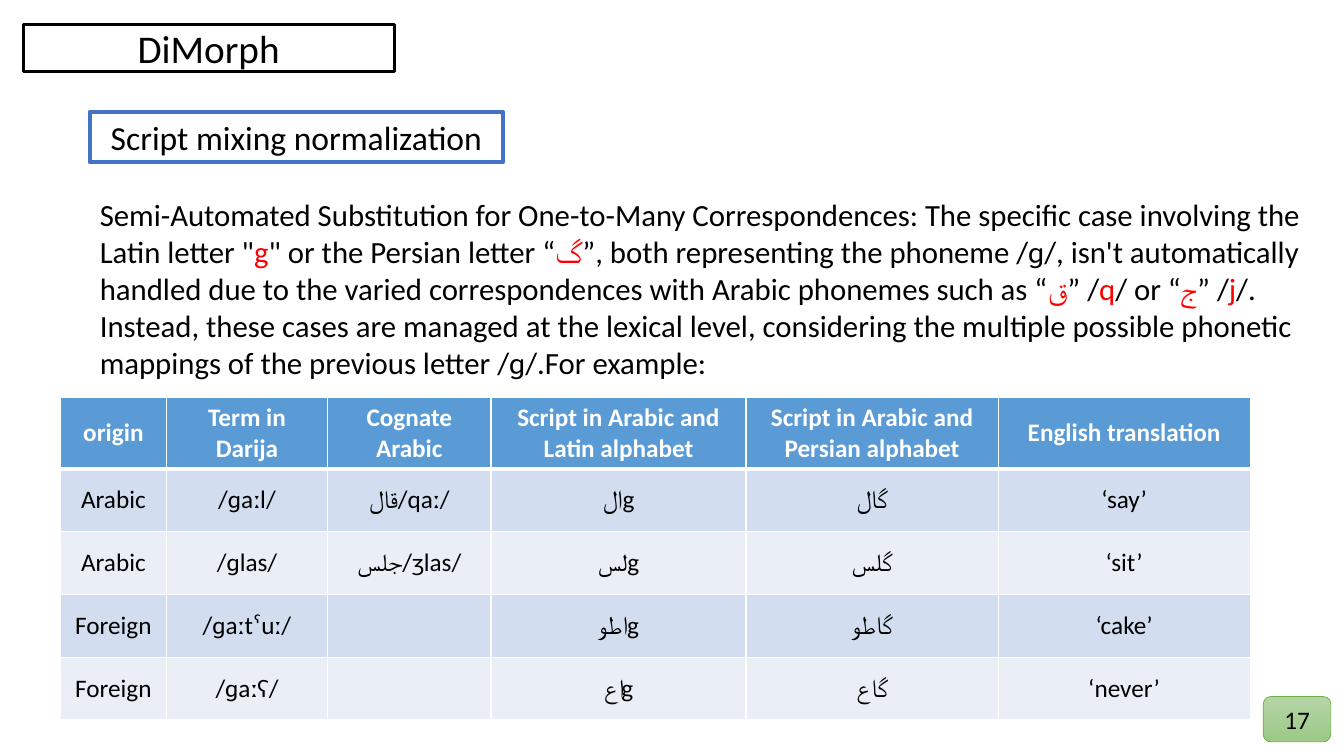
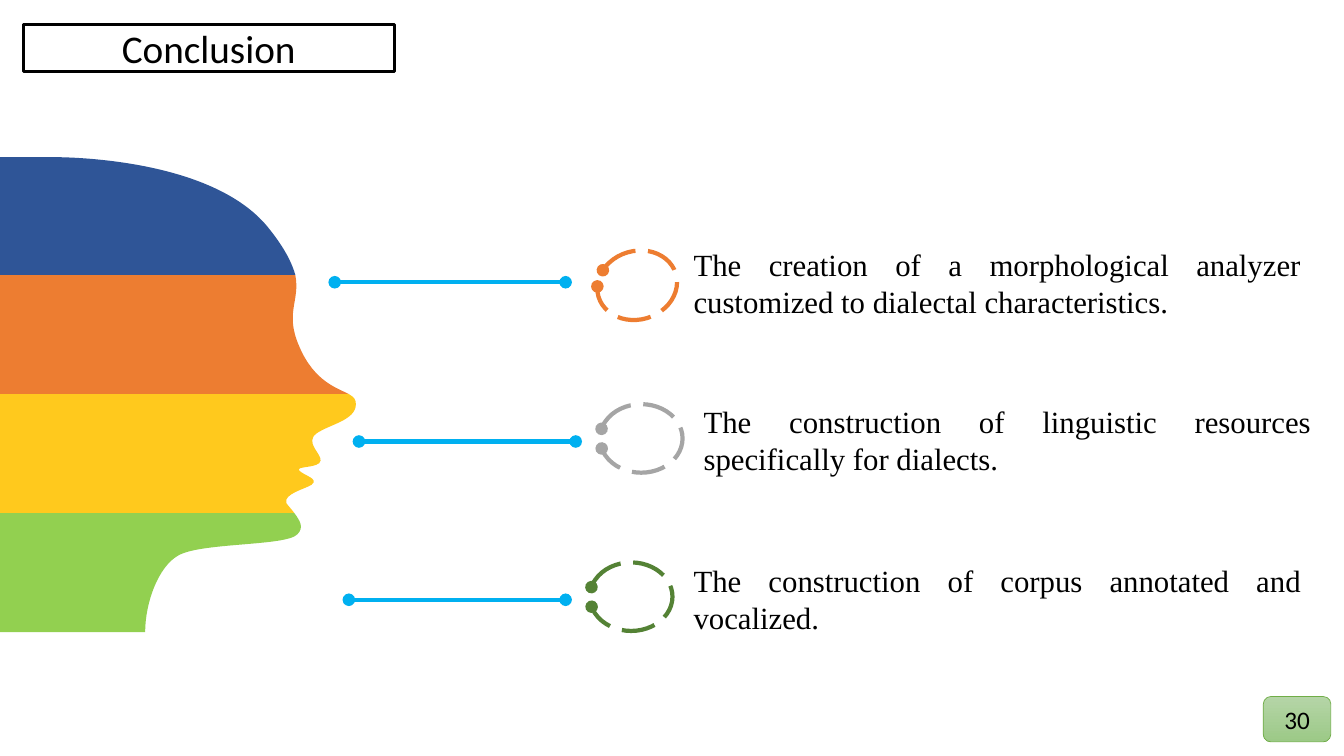
from lxml.etree import SubElement
from pptx import Presentation
from pptx.dml.color import RGBColor
from pptx.enum.dml import MSO_LINE
from pptx.enum.shapes import MSO_CONNECTOR, MSO_SHAPE
from pptx.enum.text import MSO_ANCHOR, MSO_AUTO_SIZE, PP_ALIGN
from pptx.oxml.ns import qn
from pptx.util import Pt

PX = 9144
SLIDE_W, SLIDE_H = 1333, 750
SANS, SERIF = "Calibri", "Times New Roman"

BLACK = RGBColor(0x00, 0x00, 0x00)
WHITE = RGBColor(0xFF, 0xFF, 0xFF)
RED = RGBColor(0xFF, 0x00, 0x00)
FRAME_BLUE = RGBColor(0x44, 0x72, 0xC4)
HEADER_BLUE = RGBColor(0x5B, 0x9B, 0xD5)
ROW_DARK = RGBColor(0xD2, 0xDE, 0xEF)
ROW_LIGHT = RGBColor(0xEA, 0xEF, 0xF7)
BADGE_TOP = RGBColor(0xB5, 0xD5, 0xA7)
BADGE_BOTTOM = RGBColor(0x9C, 0xC9, 0x87)
BADGE_LINE = RGBColor(0x70, 0xAD, 0x47)
NAVY = RGBColor(0x2F, 0x55, 0x97)
ORANGE = RGBColor(0xED, 0x7D, 0x31)
YELLOW = RGBColor(0xFF, 0xC9, 0x1D)
LIME = RGBColor(0x92, 0xD0, 0x50)
GRAY = RGBColor(0xA5, 0xA5, 0xA5)
GREEN = RGBColor(0x54, 0x82, 0x35)
SKY = RGBColor(0x00, 0xB0, 0xF0)

TITLE_BOX = (23, 24, 368, 47)
BADGE_BOX = (1253, 691, 67, 45)

SCRIPT_PARTS = [
    "Semi-Automated Substitution for One-to-Many Correspondences: "
    "The specific case involving the Latin letter \"",
    "g", "\" or the Persian letter “",
    "گ", "”, both representing the phoneme /ɡ/, isn't automatically handled "
    "due to the varied correspondences with Arabic phonemes such as “",
    "ق", "” /", "q", "/ or “", "ج", "” /", "j",
    "/. Instead, these cases are managed at the lexical level, considering the "
    "multiple possible phonetic mappings of the previous letter /ɡ/.For example:",
]
TERM_COLS = [105, 160, 162, 253, 250, 250]
TERM_ROWS = [70, 62, 63, 62, 62]
TERMS = [
    ["origin", "Term in Darija", "Cognate Arabic", "Script in Arabic and Latin alphabet",
     "Script in Arabic and Persian alphabet", "English translation"],
    ["Arabic", "/ɡaːl/", "قال/qaː/", "الg", "گال", "‘say’"],
    ["Arabic", "/ɡlas/", "جلس/ʒlas/", "لسg", "گلس", "‘sit’"],
    ["Foreign", "/ɡaːtˁuː/", "", "اطوg", "گاطو", "‘cake’"],
    ["Foreign", "/ɡaːʕ/", "", "اعg", "گاع", "‘never’"],
]

HEAD_BANDS = [
    (NAVY, (59, 0), [
        ((106, 1), (220, 11), (267, 71)),
        ((283, 91), (290, 106), (293, 117))]),
    (ORANGE, (293, 117), [
        ((298, 143), (282, 154), (297, 188)),
        ((312, 223), (335, 229), (346, 235))]),
    (YELLOW, (346, 235), [
        ((351, 238), (353, 240), (353, 245)),
        ((353, 261), (327, 265), (314, 274)),
        ((302, 283), (319, 294), (318, 301)),
        ((317, 309), (292, 306), (297, 311)),
        ((302, 316), (317, 319), (309, 325)),
        ((303, 329), (281, 334), (284, 343)),
        ((286, 346), (289, 349), (292, 353))]),
    (LIME, (292, 353), [
        ((297, 360), (302, 367), (295, 374)),
        ((284, 386), (200, 382), (177, 395)),
        ((157, 406), (144, 442), (144, 471))]),
]


def px(*values):
    return [round(v * PX) for v in values]


def place(s, box):
    s.left, s.top, s.width, s.height = px(*box)


def style_run(r, size, color=BLACK, font=SANS, bold=False):
    r.font.size = Pt(size)
    r.font.name = font
    r.font.bold = bold
    r.font.color.rgb = color
    SubElement(r._r.get_or_add_rPr(), qn("a:cs"), typeface=font)


def set_outline(s, color, width):
    s.line.color.rgb = color
    s.line.width = Pt(width)


def set_fill(s, color):
    s.fill.solid()
    s.fill.fore_color.rgb = color


def add_box(sl, kind, box, line, width):
    s = sl.shapes.add_shape(kind, *px(*box))
    s.shadow.inherit = False
    s.fill.background()
    set_outline(s, line, width)
    return s


def write(s, text, size, align=PP_ALIGN.CENTER, font=SANS):
    tf = s.text_frame
    tf.word_wrap = True
    tf.text = text
    p = tf.paragraphs[0]
    p.alignment = align
    style_run(p.runs[0], size, font=font)


def add_page(prs, layout, title, number):
    sl = prs.slides.add_slide(prs.slide_layouts[layout])
    s = sl.shapes.title
    place(s, TITLE_BOX)
    geom = SubElement(s.element.spPr, qn("a:prstGeom"), prst="roundRect")
    SubElement(geom, qn("a:avLst"))
    set_fill(s, WHITE)
    set_outline(s, BLACK, 2.25)
    write(s, title, 28)
    tf = s.text_frame
    tf.auto_size = MSO_AUTO_SIZE.NONE
    tf.vertical_anchor = MSO_ANCHOR.MIDDLE

    badge = add_box(sl, MSO_SHAPE.ROUNDED_RECTANGLE, BADGE_BOX, BADGE_LINE, 0.5)
    badge.fill.gradient()
    badge.fill.gradient_angle = 270
    for stop, color in zip(badge.fill.gradient_stops, (BADGE_TOP, BADGE_BOTTOM)):
        stop.color.rgb = color
    write(badge, number, 18)
    return sl


def fill_body(s, box, parts):
    place(s, box)
    tf = s.text_frame
    tf.auto_size = MSO_AUTO_SIZE.NONE
    tf.vertical_anchor = MSO_ANCHOR.TOP
    p = tf.paragraphs[0]
    p.alignment = PP_ALIGN.LEFT
    p.space_before = Pt(0)
    pPr = p._p.get_or_add_pPr()
    pPr.set("marL", "0")
    pPr.set("indent", "0")
    SubElement(pPr, qn("a:buNone"))
    for i, part in enumerate(parts):
        r = p.add_run()
        r.text = part
        style_run(r, 22, RED if i % 2 else BLACK)


def set_borders(cell, row):
    tcPr = cell._tc.get_or_add_tcPr()
    thick = {(0, "B"), (1, "T")}
    for side in "LRTB":
        width = Pt(3 if (row, side) in thick else 1)
        ln = SubElement(tcPr, qn("a:ln" + side), w=str(width))
        fill = SubElement(ln, qn("a:solidFill"))
        SubElement(fill, qn("a:srgbClr"), val=str(WHITE))


def add_terms(sl, left, top):
    box = px(left, top, sum(TERM_COLS), sum(TERM_ROWS))
    table = sl.shapes.add_table(len(TERMS), len(TERM_COLS), *box).table
    for col, width in zip(table.columns, TERM_COLS):
        col.width = px(width)[0]
    for i, (texts, height) in enumerate(zip(TERMS, TERM_ROWS)):
        table.rows[i].height = px(height)[0]
        header = i == 0
        for j, text in enumerate(texts):
            cell = table.cell(i, j)
            set_borders(cell, i)
            set_fill(cell, HEADER_BLUE if header else (ROW_LIGHT, ROW_DARK)[i % 2])
            cell.vertical_anchor = MSO_ANCHOR.MIDDLE
            cell.text_frame.text = text
            p = cell.text_frame.paragraphs[0]
            p.alignment = PP_ALIGN.CENTER
            for r in p.runs:
                style_run(r, 18, WHITE if header else BLACK, bold=header)


def bend(s, count):
    segments = list(s.element.iter(qn("a:lnTo")))[1:1 + 3 * count]
    for first, second, third in zip(segments[::3], segments[1::3], segments[2::3]):
        first.tag = qn("a:cubicBezTo")
        for segment in (second, third):
            first.append(segment[0])
            segment.getparent().remove(segment)


def add_head(sl, left, top):
    group = sl.shapes.add_group_shape()
    for color, start, curves in HEAD_BANDS:
        edge = [point for curve in curves for point in curve]
        outline = [(0, start[1]), start, *edge, (0, edge[-1][1])]
        points = [px(left + x, top + y) for x, y in outline]
        builder = group.shapes.build_freeform(*points[0])
        builder.add_line_segments(points[1:], close=True)
        s = builder.convert_to_shape()
        bend(s, len(curves))
        s.shadow.inherit = False
        set_fill(s, color)
        s.line.fill.background()


def add_dots(s):
    ln = s.element.spPr.find(qn("a:ln"))
    for end in ("a:headEnd", "a:tailEnd"):
        SubElement(ln, qn(end), type="oval")


def add_finding(sl, left, top, text, color, length, line_drop=43,
                ring=(-93, 6, 82, 68), angles=(193.58, 165.74), rotation=0):
    dx, dy, w, h = ring
    s = add_box(sl, MSO_SHAPE.ARC, (left + dx, top + dy, w, h), color, 3)
    s.rotation = rotation
    for i, angle in enumerate(angles):
        s.adjustments[i] = angle * 0.6
    s.line.dash_style = MSO_LINE.LONG_DASH
    add_dots(s)

    end, y = left - 117, top + line_drop
    line = sl.shapes.add_connector(MSO_CONNECTOR.STRAIGHT, *px(end - length, y, end, y))
    set_outline(line, SKY, 3)
    add_dots(line)
    SubElement(line.element.spPr, qn("a:effectLst"))

    s = sl.shapes.add_textbox(*px(left, top, 622, 84))
    write(s, text, 22, PP_ALIGN.JUSTIFY, SERIF)


def build_script_slide(prs):
    sl = add_page(prs, 1, "DiMorph", "17")
    s = add_box(sl, MSO_SHAPE.RECTANGLE, (89, 111, 410, 50), FRAME_BLUE, 3)
    set_fill(s, WHITE)
    write(s, "Script mixing normalization", 24)
    fill_body(sl.placeholders[1], (89, 189, 1221, 195), SCRIPT_PARTS)
    add_terms(sl, 60, 394)


def build_conclusion_slide(prs):
    sl = add_page(prs, 5, "Conclusion", "30")
    add_head(sl, 0, 156)
    add_finding(sl, 678, 239, "The creation of a morphological analyzer customized "
                "to dialectal characteristics.", ORANGE, 229, 41,
                (-86, 10, 80, 68), (220.18, 194.87), 343.5)
    add_finding(sl, 688, 395, "The construction of linguistic resources specifically "
                "for dialects.", GRAY, 215)
    add_finding(sl, 678, 552, "The construction of corpus annotated and vocalized.",
                GREEN, 215)


def main():
    prs = Presentation()
    prs.slide_width, prs.slide_height = px(SLIDE_W, SLIDE_H)
    build_script_slide(prs)
    build_conclusion_slide(prs)
    prs.save("out.pptx")


if __name__ == "__main__":
    main()
